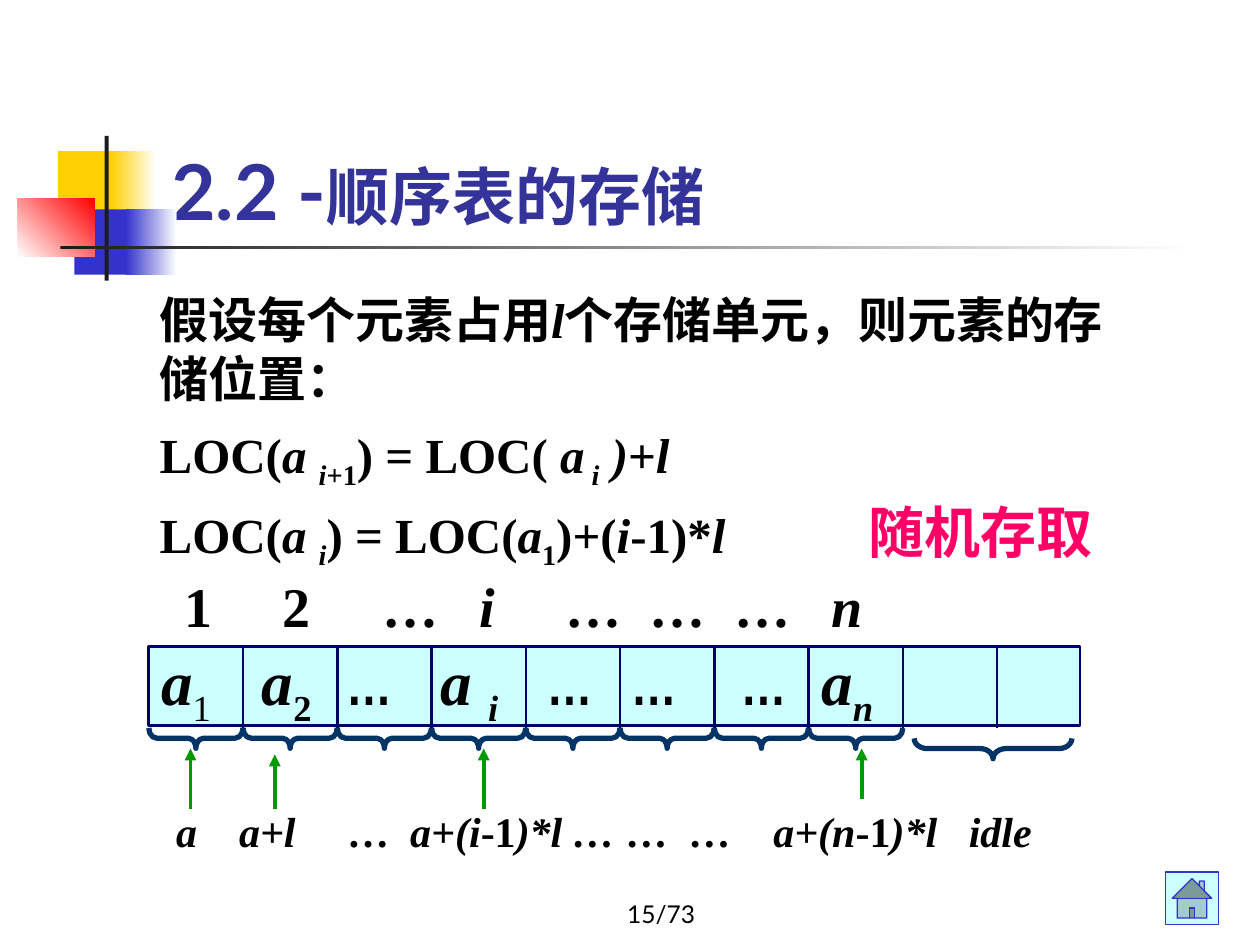
from dataclasses import dataclass
from typing import NamedTuple

from lxml.etree import SubElement as Sub
from pptx import Presentation
from pptx.dml.color import RGBColor as Rgb
from pptx.enum.shapes import MSO_CONNECTOR as Conn, MSO_SHAPE as Kind
from pptx.enum.text import MSO_ANCHOR as Anchor, PP_ALIGN as Align
from pptx.oxml.ns import qn
from pptx.util import Cm, Pt


@dataclass(frozen=True)
class Theme:
    gold: str = "FFCF01"
    blue: str = "3333CC"
    red: str = "FF0000"
    dark: str = "1C1C1C"
    white: str = "FFFFFF"
    black: str = "000000"
    title: str = "333399"
    cell: str = "CCFFFF"
    edge: str = "000066"
    brace: str = "003366"
    arrow: str = "009900"
    pink: str = "FF0066"
    serif: str = "Times New Roman"
    sans: str = "Lato"
    thin: str = "Arial Narrow"
    han: str = "Noto Sans CJK SC"
    head: int = 44
    big: int = 36
    mid: int = 32
    body: int = 28
    small: int = 24
    page: int = 14


class Box(NamedTuple):
    left: float
    top: float
    width: float
    height: float


class Run(NamedTuple):
    text: str
    style: str = "b"  # b bold, i italic, s subscript
    size: int = 0
    font: str = ""


class Tile(NamedTuple):
    box: Box
    first: str
    last: str = ""
    angle: int = 0


class Arrow(NamedTuple):
    x: float
    base: float
    tip: float


T = Theme()
deck = Presentation()
deck.slide_width, deck.slide_height = Cm(25.4), Cm(19.05)
slide = deck.slides.add_slide(deck.slide_layouts[5])
shapes = slide.shapes


def write(para, runs: list, *, size: int, font: str = T.serif, color: str = T.black,
          align=Align.LEFT, space: float = 1, before: float = 0, tabs: tuple = ()) -> None:
    para.alignment, para.line_spacing = align, space
    para.space_before = Pt(before)
    if tabs:
        stops = Sub(para._p.get_or_add_pPr(), qn("a:tabLst"))
        for pos in tabs:
            Sub(stops, qn("a:tab"), pos=str(Cm(pos)), algn="l")
    for item in runs:
        run = para.add_run()
        run.text = item.text
        face = run.font
        face.name, face.size = item.font or font, Pt(item.size or size)
        face.bold, face.italic = "b" in item.style, "i" in item.style
        face.color.rgb = Rgb.from_string(color)
        props = run._r.get_or_add_rPr()
        Sub(props, qn("a:ea"), typeface=T.han)
        if "s" in item.style:
            props.set("baseline", "-25000")


def frame(box: Box):
    text = shapes.add_textbox(*map(Cm, box)).text_frame
    text.word_wrap = True
    return text


def shape(kind, box: Box, fill: str = "", line: str = "", width: float = 1):
    item = shapes.add_shape(kind, *map(Cm, box))
    item.shadow.inherit = False
    if fill:
        item.fill.solid()
        item.fill.fore_color.rgb = Rgb.from_string(fill)
    else:
        item.fill.background()
    if line:
        item.line.color.rgb = Rgb.from_string(line)
        item.line.width = Pt(width)
    else:
        item.line.fill.background()
    return item


def tile(part: Tile) -> None:
    item = shape(Kind.RECTANGLE, part.box, part.first)
    if part.last:
        item.fill.gradient()
        item.fill.gradient_angle = part.angle
        for stop, color in zip(item.fill.gradient_stops, (part.first, part.last)):
            stop.color.rgb = Rgb.from_string(color)


def stroke(x: float, y: float, end: float, color: str, width: float, head: bool = False) -> None:
    item = shapes.add_connector(Conn.STRAIGHT, Cm(x), Cm(y), Cm(x), Cm(end))
    item.line.color.rgb = Rgb.from_string(color)
    item.line.width = Pt(width)
    if head:
        Sub(item.line._get_or_add_ln(), qn("a:tailEnd"), type="triangle")
    Sub(item._element.spPr, qn("a:effectLst"))


def brace(mid: float, y: float, span: float) -> None:
    thick = 0.41
    box = Box(mid - thick / 2, y - span / 2, thick, span)
    item = shape(Kind.LEFT_BRACE, box, line=T.brace, width=3)
    item.rotation = 270
    item.adjustments[0] = span / thick / 12


# Corner blocks and rule
for part in (
    Tile(Box(1.17, 3.05, 1.22, 1.32), T.gold),
    Tile(Box(2.24, 3.05, 0.91, 1.32), T.gold, T.white),
    Tile(Box(1.5, 4.22, 1.17, 1.32), T.blue),
    Tile(Box(2.54, 4.22, 1.02, 1.32), T.blue, T.white),
    Tile(Box(0.36, 4.01, 1.55, 1.17), T.white, T.red, 45),
    Tile(Box(2.11, 2.74, 0.08, 2.92), T.dark),
    Tile(Box(1.22, 4.95, 22.86, 0.08), T.dark, T.white),
):
    tile(part)

# Title, page number and home button
title = shapes.title
title.left, title.top, title.width, title.height = map(Cm, Box(3.2, 1.7, 21.64, 3.18))
title.text_frame.vertical_anchor = Anchor.BOTTOM
write(title.text_frame.paragraphs[0], [Run("2.2 -"), Run("顺序表的存储", size=T.big)],
      size=T.head, font=T.sans, color=T.title)
page = frame(Box(10.69, 17.58, 5.28, 1.27))
page.vertical_anchor = Anchor.BOTTOM
write(page.paragraphs[0], [Run("15/73", "")], size=T.page, font=T.sans, align=Align.CENTER)
shape(Kind.ACTION_BUTTON_HOME, Box(23.5, 17.58, 1.06, 1.06), T.cell, T.blue, 0.75)

# Location formulas
body = frame(Box(2.97, 5.72, 20.12, 6.35))
write(body.paragraphs[0], [Run("假设每个元素占用"), Run("l", "bi"),
                           Run("个存储单元，则元素的存储位置：")], size=T.body)
write(body.add_paragraph(), [
    Run("LOC("), Run("a ", "bi"), Run("i", "bis"), Run("+1", "bs"), Run(") = LOC("),
    Run(" a", "bi"), Run(" i", "bis"), Run(" )", "bi"), Run("+"), Run("l", "bi"),
], size=T.body, space=1.2, before=2)
write(body.add_paragraph(), [
    Run("LOC("), Run("a ", "bi"), Run("i", "bis"), Run(") = LOC("), Run("a", "bi"),
    Run("1", "bs"), Run(")+("), Run("i", "bi"), Run("-1)*"), Run("l", "bi"),
], size=T.body, space=1.2)

# Storage cells
left, top, step = 3, 13.03, 1.9
strip = shape(Kind.RECTANGLE, Box(left, top, 18.77, 1.6), T.cell, T.edge, 1.5).text_frame
strip.word_wrap, strip.vertical_anchor = True, Anchor.MIDDLE
dots = Run("\t…", size=T.mid, font=T.thin)
write(strip.paragraphs[0], [
    Run("a", "bi"), Run("1", "s"), Run("\ta", "bi"), Run("2", "bs"), dots,
    Run("\ta ", "bi"), Run("i", "bis"), dots, dots, dots, Run("\ta", "bi"), Run("n", "bis"),
], size=T.big, tabs=(2.03, 3.73, 5.64, 7.77, 9.47, 11.68, 13.31))
for col in range(1, 10):
    stroke(left + col * step, top, 14.68, T.edge, 1.5)

# Cell numbers
write(frame(Box(3.2, 11.4, 15.04, 1.63)).paragraphs[0], [
    Run("\t1\t2\t…"), Run("\ti", "bi"), Run("\t…\t…\t…"), Run("\tn", "bi"),
], size=T.mid, tabs=(0.28, 2.24, 4.27, 6.22, 7.95, 9.65, 11.35, 13.31))

# Braces under the used and the idle cells
for col in range(8):
    brace(left + (col + 0.5) * step, 14.88, step)
brace(20.02, 15.09, 3.18)

# Cell addresses
write(frame(Box(2.36, 15.7, 20.5, 1.78)).paragraphs[0], [
    Run("\t", "bi", T.big), Run("a\ta+l\t…\ta+(i", "bi"), Run("-1"),
    Run(")*l\t…\t…\t…\ta+(n", "bi"), Run("-1"), Run(")*l\tidle", "bi"),
], size=T.small, tabs=(0.94, 2.21, 4.42, 5.66, 8.94, 10.03, 11.3, 12.98, 16.92))
for mark in (Arrow(17.37, 16.1, 15.09), Arrow(9.75, 16.31, 15.09),
             Arrow(3.84, 16.31, 15.09), Arrow(5.54, 16.31, 15.21)):
    stroke(mark.x, mark.base, mark.tip, T.arrow, 2.25, head=True)

# Access label
write(frame(Box(17.25, 9.9, 5.03, 1.88)).paragraphs[0], [Run("随机存取")],
      size=T.mid, font=T.han, color=T.pink)

deck.save("out.pptx")
